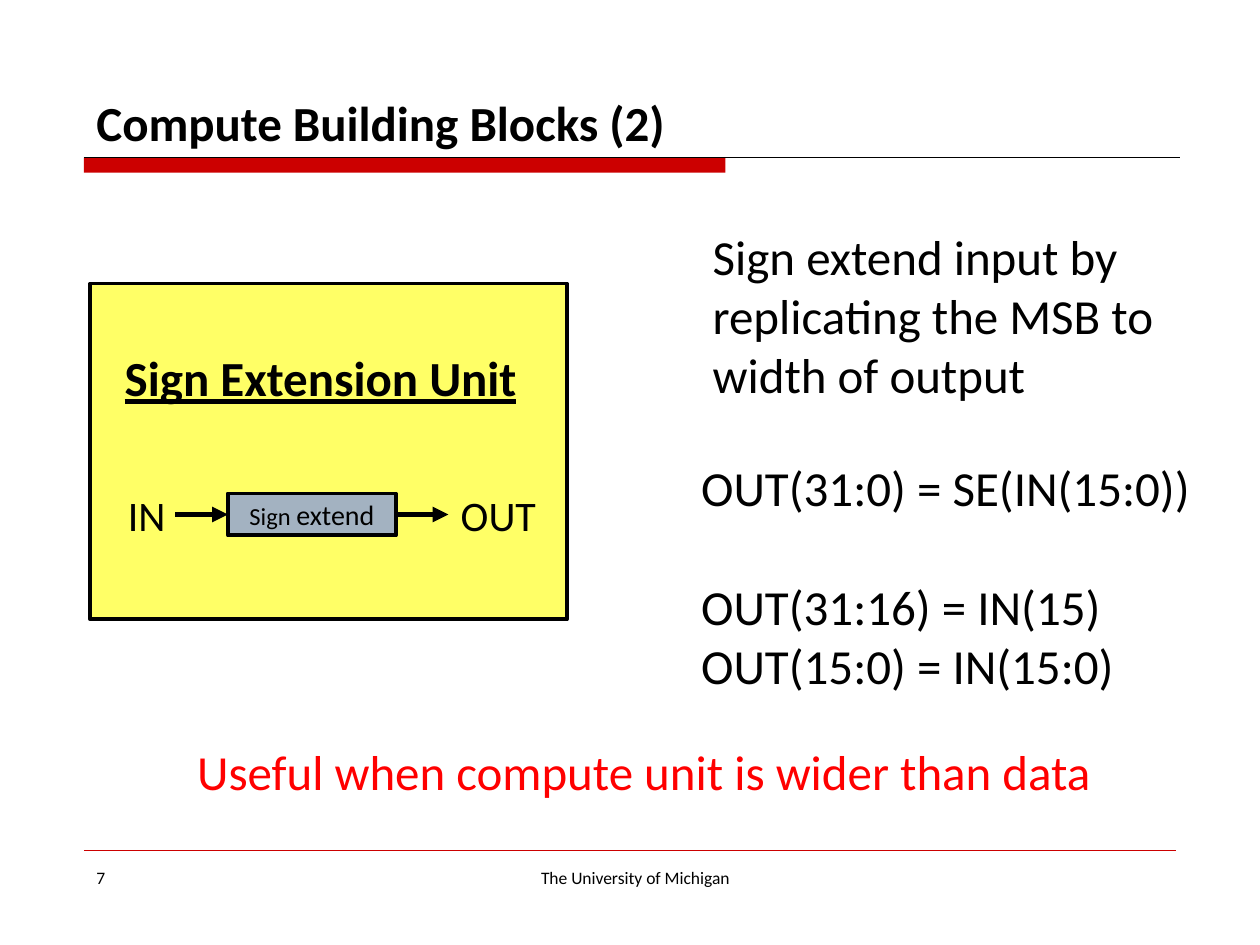
from lxml import etree
from pptx import Presentation
from pptx import util as u
from pptx.dml.color import RGBColor
from pptx.enum import shapes, text
from pptx.oxml.ns import qn

COLORS = {"ink": "000000", "bar": "CC0000", "panel": "FFFF66",
          "unit": "A3B2C1", "note": "FF0000"}
RGB = {name: RGBColor.from_string(value) for name, value in COLORS.items()}

prs = Presentation()
prs.slide_width, prs.slide_height = u.Inches(10), u.Inches(7.5)
s = prs.slides.add_slide(prs.slide_layouts[6])
COL, ROW = prs.slide_width / 120, prs.slide_height / 90


def cells(x, y, w, h):
    """Turn grid columns and rows into lengths."""
    return [u.Emu(round(n * unit)) for n, unit in zip((x, y, w, h), (COL, ROW) * 2)]


def write(sp, lines, color="ink", bold=False, underline=None, wrap=False,
          align=text.PP_ALIGN.LEFT, anchor=text.MSO_ANCHOR.TOP):
    """Fill a shape; each line is (space before, [(words, size), ...])."""
    tf = sp.text_frame
    tf.word_wrap, tf.vertical_anchor = wrap, anchor
    for i, (before, runs) in enumerate(lines):
        p = tf.add_paragraph() if i else tf.paragraphs[0]
        p.alignment = align
        if before:
            p.space_before = u.Pt(before)
        for words, size in runs:
            r = p.add_run()
            r.text = words
            r.font.name, r.font.size = "Calibri", u.Pt(size)
            r.font.bold, r.font.underline = bold, underline
            r.font.color.rgb = RGB[color]


# Title bar, yellow panel and sign extend unit
blocks = {}
for name, box, line_width in [
    ("bar", (8, 15, 61.1, 1.45), 0),
    ("panel", (8.6, 27, 45.4, 32), 2.25),
    ("unit", (21.7, 47, 16, 4), 2.25),
]:
    sp = s.shapes.add_shape(shapes.MSO_SHAPE.RECTANGLE, *cells(*box))
    sp.shadow.inherit = False
    sp.fill.solid()
    sp.fill.fore_color.rgb = RGB[name]
    if line_width:
        sp.line.color.rgb = RGB["ink"]
        sp.line.width = u.Pt(line_width)
    else:
        sp.line.fill.background()
    blocks[name] = sp

write(blocks["unit"], [(0, [("Sign ", 14), ("extend", 16)])],
      align=text.PP_ALIGN.CENTER, anchor=text.MSO_ANCHOR.MIDDLE)

# Title rule, footer rule, and the arrows into and out of the unit
for x1, x2, y, color, width, arrow in [
    (8, 112.4, 15, "ink", 0.5, False),
    (8, 112, 81, "bar", 0.25, False),
    (16.7, 21.7, 49, "ink", 3, True),
    (37.7, 42.7, 49, "ink", 3, True),
]:
    left, top, right, bottom = cells(x1, y, x2, y)
    line = s.shapes.add_connector(shapes.MSO_CONNECTOR.STRAIGHT, left, top, right, bottom)
    line.line.color.rgb = RGB[color]
    line.line.width = u.Pt(width)
    if arrow:
        etree.SubElement(line.line._get_or_add_ln(), qn("a:tailEnd"), type="triangle")
    etree.SubElement(line._element.spPr, qn("a:effectLst"))

BLANK_LINE = 34.2
for box, size, lines, style in [
    ((8, 4, 112, 11), 28, [(0, "Compute Building Blocks (2)")],
     dict(bold=True, wrap=True, anchor=text.MSO_ANCHOR.BOTTOM)),
    ((10.7, 32.5, 40.1, 6.8), 28, [(0, "Sign Extension Unit")],
     dict(bold=True, underline=True)),
    ((11, 46, 6, 6), 24, [(0, "IN")], {}),
    ((42.7, 46, 9.7, 6), 24, [(0, "OUT")], {}),
    ((66.7, 21, 44.9, 18.1), 28,
     [(0, "Sign extend input by"), (0, "replicating the MSB to"), (0, "width of output")], {}),
    ((65.6, 43, 49.6, 23.9), 28,
     [(0, "OUT(31:0) = SE(IN(15:0))"), (BLANK_LINE, "OUT(31:16) = IN(15)"),
      (0, "OUT(15:0) = IN(15:0)")], {}),
    ((17.6, 70, 88.4, 6.8), 28, [(0, "Useful when compute unit is wider than data")],
     dict(color="note")),
    ((8, 82, 28, 6.2), 10, [(0, "7")], dict(wrap=True)),
    ((38, 82, 45, 3.2), 10, [(0, "The University of Michigan")],
     dict(wrap=True, align=text.PP_ALIGN.CENTER)),
]:
    write(s.shapes.add_textbox(*cells(*box)),
          [(before, [(words, size)]) for before, words in lines], **style)

prs.save("out.pptx")
